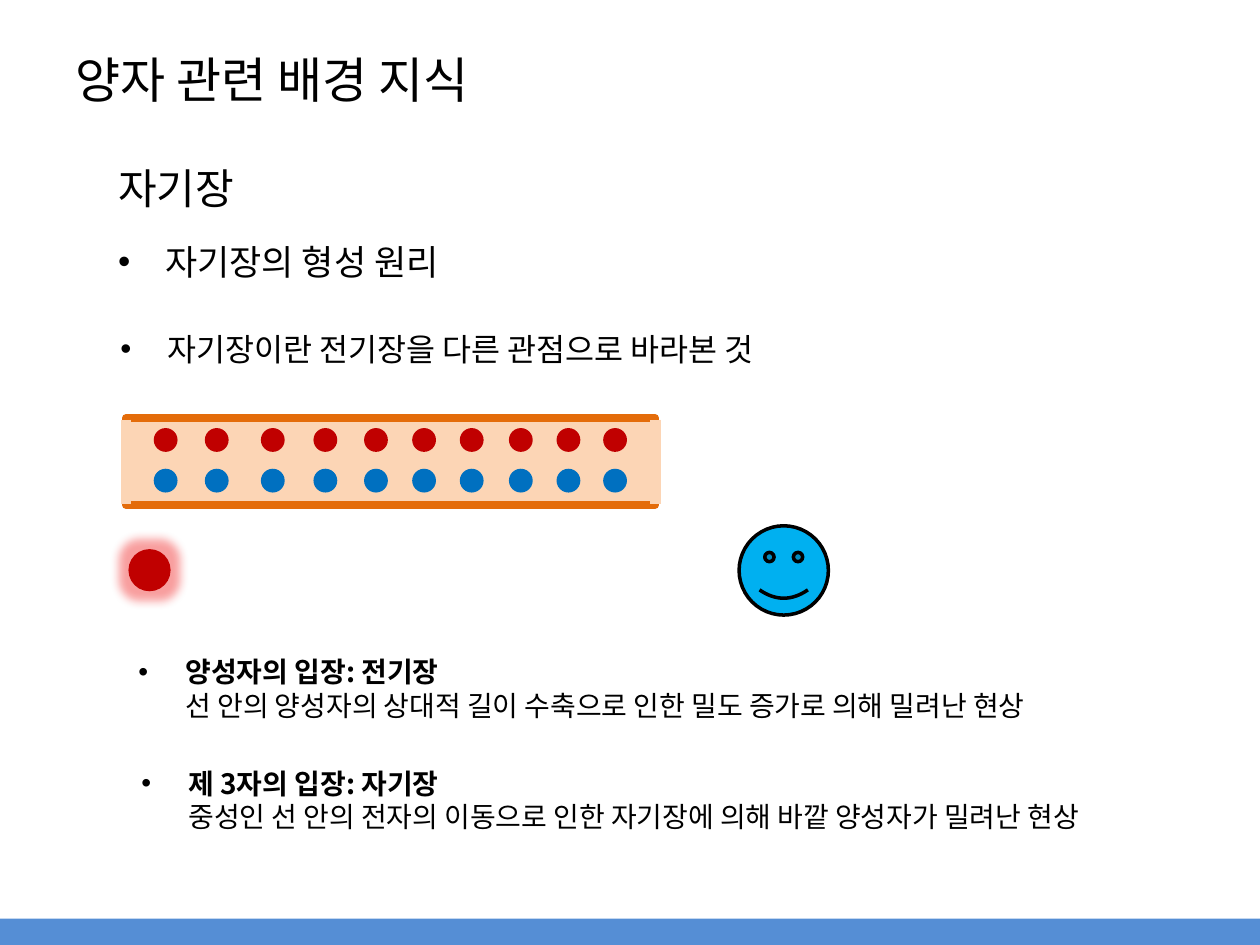
from lxml import etree
from pptx import Presentation
from pptx.dml.color import RGBColor
from pptx.enum.shapes import MSO_CONNECTOR, MSO_SHAPE
from pptx.enum.text import MSO_ANCHOR, MSO_AUTO_SIZE, PP_ALIGN
from pptx.oxml.ns import qn
from pptx.util import Cm, Pt

RECTANGLE = MSO_SHAPE.RECTANGLE
OVAL = MSO_SHAPE.OVAL
SMILEY = MSO_SHAPE.SMILEY_FACE
STRAIGHT = MSO_CONNECTOR.STRAIGHT

FONT = "Noto Sans CJK KR"
BLACK = RGBColor(0x00, 0x00, 0x00)
FOOTER_BLUE = RGBColor(0x55, 0x8E, 0xD5)
WIRE_FILL = RGBColor(0xFC, 0xD5, 0xB5)
WIRE_EDGE = RGBColor(0xE4, 0x6C, 0x0A)
PROTON_RED = RGBColor(0xC0, 0x00, 0x00)
ELECTRON_BLUE = RGBColor(0x00, 0x70, 0xC0)
OBSERVER_BLUE = RGBColor(0x00, 0xB0, 0xF0)
GLOW_RED = RGBColor(0xF0, 0x10, 0x10)

WIRE_LEFT, WIRE_TOP, WIRE_WIDTH, WIRE_HEIGHT = 2.54, 8.43, 10.67, 1.75
CHARGE_SIZE = 0.48
CHARGE_LEFTS = [3.1, 4.13, 5.26, 6.32, 7.34, 8.31, 9.27, 10.26, 11.22, 12.16]
CHARGE_ROWS = [(8.63, PROTON_RED), (9.45, ELECTRON_BLUE)]
HANGING_INDENT = Cm(0.95)


def add_run(paragraph, text, size, bold=False):
    run = paragraph.add_run()
    run.text = text
    run.font.size = Pt(size)
    run.font.bold = bold
    run.font.color.rgb = BLACK
    run.font.name = FONT
    east_asian = etree.SubElement(run.font._element, qn("a:ea"))
    east_asian.set("typeface", FONT)


def add_bullet(paragraph):
    properties = paragraph._p.get_or_add_pPr()
    properties.set("marL", str(HANGING_INDENT))
    properties.set("indent", str(-HANGING_INDENT))
    etree.SubElement(properties, qn("a:buFont")).set("typeface", "Arial")
    etree.SubElement(properties, qn("a:buChar")).set("char", "•")


def add_text(slide, left, top, width, height, lines, size, bullet=True):
    """Add one paragraph; with several lines, the first is a bold heading."""
    box = slide.shapes.add_textbox(Cm(left), Cm(top), Cm(width), Cm(height))
    box.text_frame.word_wrap = True
    box.text_frame.auto_size = MSO_AUTO_SIZE.SHAPE_TO_FIT_TEXT
    paragraph = box.text_frame.paragraphs[0]
    if bullet:
        add_bullet(paragraph)
    for index, line in enumerate(lines):
        if index:
            paragraph.add_line_break()
        add_run(paragraph, line, size, bold=index == 0 and len(lines) > 1)


def add_shape(shapes, kind, left, top, width, height, fill, line=None, line_width=0):
    shape = shapes.add_shape(kind, Cm(left), Cm(top), Cm(width), Cm(height))
    shape.shadow.inherit = False
    shape.fill.solid()
    shape.fill.fore_color.rgb = fill
    if line is None:
        shape.line.fill.background()
    else:
        shape.line.color.rgb = line
        shape.line.width = Pt(line_width)
    return shape


def add_glow(shape, color, radius, opacity):
    effects = shape._element.spPr.find(qn("a:effectLst"))
    glow = etree.SubElement(effects, qn("a:glow"), rad=str(Pt(radius)))
    glow_color = etree.SubElement(glow, qn("a:srgbClr"), val=str(color))
    etree.SubElement(glow_color, qn("a:alpha"), val=str(opacity * 1000))


def add_wire_end(shapes, x):
    """Cover the outline of the wire at one open end."""
    end = shapes.add_connector(
        STRAIGHT, Cm(x), Cm(WIRE_TOP + 0.03), Cm(x), Cm(WIRE_TOP + WIRE_HEIGHT - 0.03))
    end.line.color.rgb = WIRE_FILL
    end.line.width = Pt(6)
    etree.SubElement(end._element.spPr, qn("a:effectLst"))


def add_wire(slide):
    shapes = slide.shapes.add_group_shape().shapes
    add_shape(shapes, RECTANGLE, WIRE_LEFT, WIRE_TOP, WIRE_WIDTH, WIRE_HEIGHT,
              WIRE_FILL, WIRE_EDGE, 4.5)
    for x in (WIRE_LEFT + WIRE_WIDTH, WIRE_LEFT):
        add_wire_end(shapes, x)
    for top, color in CHARGE_ROWS:
        for left in CHARGE_LEFTS:
            add_shape(shapes, OVAL, left, top, CHARGE_SIZE, CHARGE_SIZE, color)


def set_title(slide, text):
    title = slide.shapes.title
    title.left, title.top, title.width, title.height = Cm(1.27), Cm(0), Cm(22.86), Cm(3.18)
    title.text_frame.vertical_anchor = MSO_ANCHOR.MIDDLE
    paragraph = title.text_frame.paragraphs[0]
    paragraph.alignment = PP_ALIGN.LEFT
    add_run(paragraph, text, 28)


def main():
    presentation = Presentation()
    presentation.slide_width = Cm(25.4)
    presentation.slide_height = Cm(19.05)
    slide = presentation.slides.add_slide(presentation.slide_layouts[5])

    set_title(slide, "양자 관련 배경 지식")
    add_shape(slide.shapes, RECTANGLE, 0, 18.52, 25.4, 0.53, FOOTER_BLUE)
    add_text(slide, 2.13, 4.72, 10.19, 1.11, ["자기장의 형성 원리"], 20)
    add_text(slide, 2.13, 3.15, 6.4, 1.28, ["자기장"], 24, bullet=False)
    add_text(slide, 2.18, 6.53, 16.71, 1.03,
             ["자기장이란 전기장을 다른 관점으로 바라본 것"], 18)

    add_wire(slide)
    proton = add_shape(slide.shapes, OVAL, 2.59, 11.07, 0.85, 0.85, PROTON_RED)
    add_glow(proton, GLOW_RED, 11, 40)
    add_text(slide, 2.54, 13.08, 21.16, 1.62,
             ["양성자의 입장: 전기장",
              "선 안의 양성자의 상대적 길이 수축으로 인한 밀도 증가로 의해 밀려난 현상"], 16)
    add_shape(slide.shapes, SMILEY, 14.9, 10.6, 1.8, 1.8, OBSERVER_BLUE, BLACK, 2)
    add_text(slide, 2.6, 15.32, 22.3, 1.62,
             ["제 3자의 입장: 자기장",
              "중성인 선 안의 전자의 이동으로 인한 자기장에 의해 바깥 양성자가 밀려난 현상"], 16)

    presentation.save("out.pptx")


if __name__ == "__main__":
    main()
